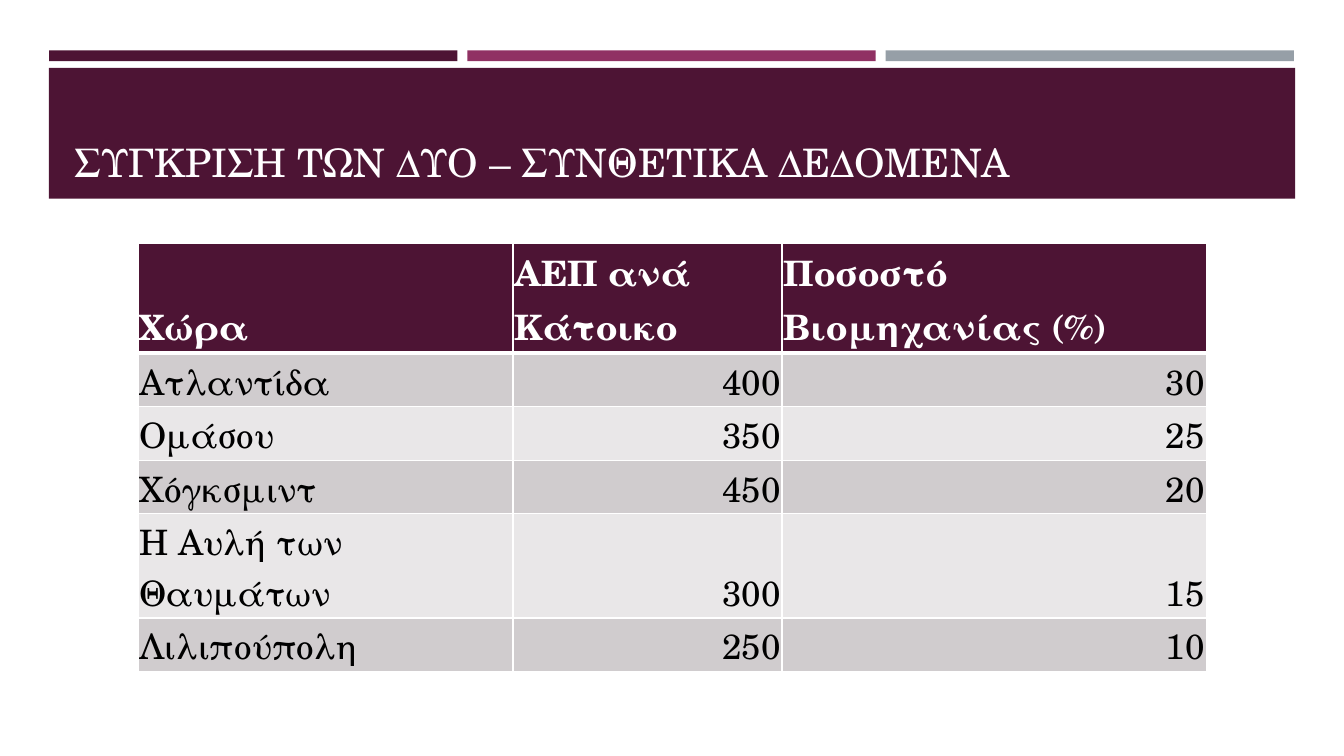
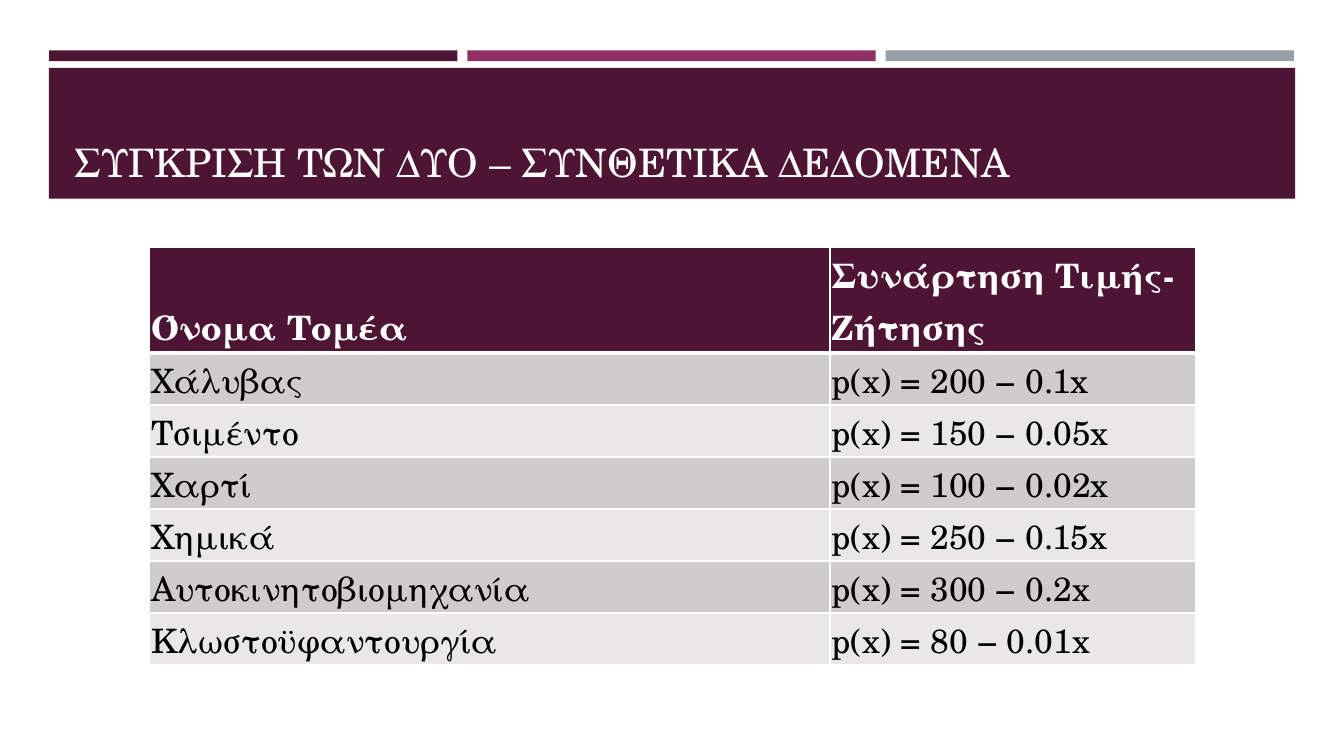
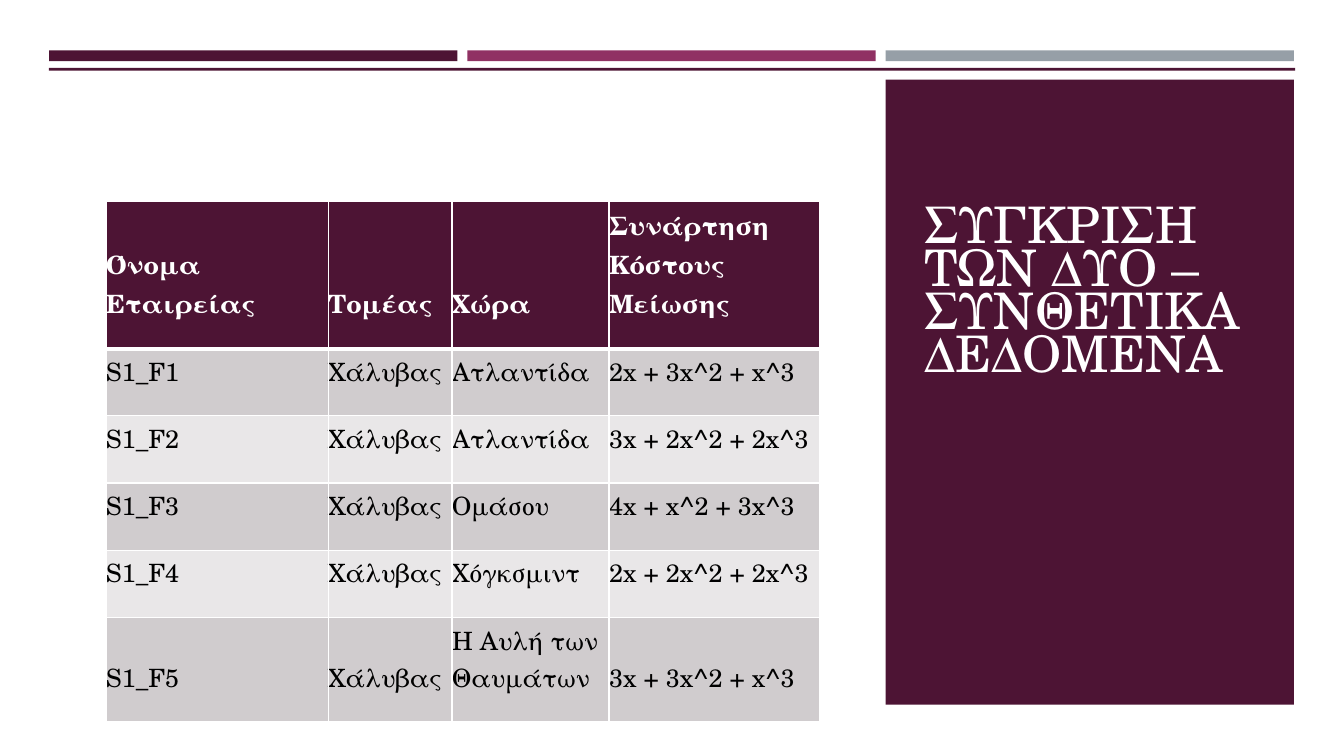
from lxml import etree
from pptx import Presentation
from pptx.dml.color import RGBColor
from pptx.enum.shapes import MSO_SHAPE
from pptx.enum.text import MSO_ANCHOR, MSO_AUTO_SIZE, PP_ALIGN
from pptx.oxml.ns import qn
from pptx.util import Cm, Pt

RECTANGLE = MSO_SHAPE.RECTANGLE
BOTTOM = MSO_ANCHOR.BOTTOM
NO_AUTOFIT = MSO_AUTO_SIZE.NONE
LEFT, RIGHT = PP_ALIGN.LEFT, PP_ALIGN.RIGHT

FONT = "TeX Gyre Schola"
PLUM = RGBColor(0x4D, 0x14, 0x34)
MAGENTA = RGBColor(0x90, 0x31, 0x63)
SLATE = RGBColor(0x96, 0x9F, 0xA7)
WHITE = RGBColor(0xFF, 0xFF, 0xFF)
BAND_WHITE = RGBColor(0xFF, 0xFE, 0xFF)
BLACK = RGBColor(0x00, 0x00, 0x00)
ROW_DARK = RGBColor(0xD0, 0xCC, 0xCE)
ROW_LIGHT = RGBColor(0xE9, 0xE7, 0xE8)

TITLE = "ΣΥΓΚΡΙΣΗ ΤΩΝ ΔΥΟ – ΣΥΝΘΕΤΙΚΑ ΔΕΔΟΜΕΝΑ"
TITLE_LINE_SPACING = 0.71

# All lengths are in centimetres; boxes are left, top, width, height.
BAR_LEFT, BAR_TOP, BAR_WIDTH, BAR_HEIGHT, BAR_PITCH = 1.24, 1.27, 10.29, 0.27, 10.54
TITLE_ON_TOP = {
    "panels": [(1.23, 1.71, 31.41, 3.3)],
    "title_box": (1.63, 1.96, 30.63, 2.82),
    "title_size": 28,
    "title_color": BAND_WHITE,
}
TITLE_AT_SIDE = {
    "panels": [
        (1.23, 1.71, 31.41, 0.07),
        (BAR_LEFT + 2 * BAR_PITCH, 2.01, BAR_WIDTH, 15.75),
    ],
    "title_box": (23.04, 3.94, 8.56, 5.79),
    "title_size": 36,
    "title_color": WHITE,
}
TIGHT_MARGINS = (0.04, 0.04, 0.04, 0)
DEEP_MARGINS = (0, 0.1, 0.22, 0.66)

SLIDES = [
    {
        "design": TITLE_ON_TOP,
        "position": (3.48, 6.14),
        "columns": [9.45, 6.78, 10.69],
        "row_heights": [2.41, 1.35, 1.35, 1.35, 1.27, 1.35],
        "margins": TIGHT_MARGINS,
        "size": 25,
        "rows": [
            ("Χώρα", "ΑΕΠ ανά Κάτοικο", "Ποσοστό Βιομηχανίας (%)"),
            ("Ατλαντίδα", "400", "30"),
            ("Ομάσου", "350", "25"),
            ("Χόγκσμιντ", "450", "20"),
            ("Η Αυλή των Θαυμάτων", "300", "15"),
            ("Λιλιπούπολη", "250", "10"),
        ],
    },
    {
        "design": TITLE_ON_TOP,
        "position": (3.77, 6.24),
        "columns": [17.15, 9.22],
        "row_heights": [2.34] + [1.31] * 6,
        "margins": TIGHT_MARGINS,
        "size": 24,
        "rows": [
            ("Όνομα Τομέα", "Συνάρτηση Τιμής-Ζήτησης"),
            ("Χάλυβας", "p(x) = 200 − 0.1x"),
            ("Τσιμέντο", "p(x) = 150 − 0.05x"),
            ("Χαρτί", "p(x) = 100 − 0.02x"),
            ("Χημικά", "p(x) = 250 − 0.15x"),
            ("Αυτοκινητοβιομηχανία", "p(x) = 300 − 0.2x"),
            ("Κλωστοϋφαντουργία", "p(x) = 80 − 0.01x"),
        ],
    },
    {
        "design": TITLE_AT_SIDE,
        "position": (2.67, 5.08),
        "columns": [5.6, 3.12, 3.96, 5.31],
        "row_heights": [2.46] + [1.22] * 4 + [1.83],
        "margins": DEEP_MARGINS,
        "size": 18,
        "rows": [
            ("Όνομα Εταιρείας", "Τομέας", "Χώρα", "Συνάρτηση Κόστους Μείωσης"),
            ("S1_F1", "Χάλυβας", "Ατλαντίδα", "2x + 3x^2 + x^3"),
            ("S1_F2", "Χάλυβας", "Ατλαντίδα", "3x + 2x^2 + 2x^3"),
            ("S1_F3", "Χάλυβας", "Ομάσου", "4x + x^2 + 3x^3"),
            ("S1_F4", "Χάλυβας", "Χόγκσμιντ", "2x + 2x^2 + 2x^3"),
            ("S1_F5", "Χάλυβας", "Η Αυλή των Θαυμάτων", "3x + 3x^2 + x^3"),
        ],
    },
]


def add_rectangle(slide, box, color):
    shape = slide.shapes.add_shape(RECTANGLE, *(Cm(length) for length in box))
    shape.shadow.inherit = False
    shape.fill.solid()
    shape.fill.fore_color.rgb = color
    shape.line.fill.background()


def write_text(paragraph, text, size, color, bold=False, alignment=LEFT):
    paragraph.alignment = alignment
    run = paragraph.add_run()
    run.text = text
    run.font.name = FONT
    run.font.size = Pt(size)
    run.font.bold = bold
    run.font.color.rgb = color


def add_frame(slide, design):
    """Draw the three bars, the plum panels and the title above them."""
    for index, color in enumerate((PLUM, MAGENTA, SLATE)):
        left = BAR_LEFT + index * BAR_PITCH
        add_rectangle(slide, (left, BAR_TOP, BAR_WIDTH, BAR_HEIGHT), color)
    for box in design["panels"]:
        add_rectangle(slide, box, PLUM)

    title = slide.shapes.title
    title.element.getparent().append(title.element)
    title.left, title.top, title.width, title.height = (
        Cm(length) for length in design["title_box"]
    )
    frame = title.text_frame
    frame.word_wrap = True
    frame.auto_size = NO_AUTOFIT
    frame.vertical_anchor = BOTTOM
    paragraph = frame.paragraphs[0]
    paragraph.line_spacing = TITLE_LINE_SPACING
    write_text(paragraph, TITLE, design["title_size"], design["title_color"])


def set_borders(cell, row_index):
    """Give a cell white borders, thicker between header and body."""
    widths = {
        "a:lnL": 1,
        "a:lnR": 1,
        "a:lnT": 3 if row_index == 1 else 1,
        "a:lnB": 3 if row_index == 0 else 1,
    }
    properties = cell._tc.get_or_add_tcPr()
    for index, (tag, width) in enumerate(widths.items()):
        line = etree.Element(qn(tag), w=str(Pt(width)))
        fill = etree.SubElement(line, qn("a:solidFill"))
        etree.SubElement(fill, qn("a:srgbClr"), val=str(WHITE))
        properties.insert(index, line)


def format_cell(cell, text, row_index, size, margins):
    is_header = row_index == 0
    cell.margin_left, cell.margin_top, cell.margin_right, cell.margin_bottom = (
        Cm(length) for length in margins
    )
    cell.vertical_anchor = BOTTOM
    cell.fill.solid()
    body_color = ROW_DARK if row_index % 2 else ROW_LIGHT
    cell.fill.fore_color.rgb = PLUM if is_header else body_color
    set_borders(cell, row_index)
    write_text(
        cell.text_frame.paragraphs[0],
        text,
        size,
        WHITE if is_header else BLACK,
        bold=is_header,
        alignment=RIGHT if text.isdigit() else LEFT,
    )


def add_data_table(slide, content):
    rows, columns, heights = content["rows"], content["columns"], content["row_heights"]
    left, top = content["position"]
    table = slide.shapes.add_table(
        len(rows), len(columns), Cm(left), Cm(top), Cm(sum(columns)), Cm(sum(heights))
    ).table
    for column, width in zip(table.columns, columns):
        column.width = Cm(width)
    for row_index, (values, height) in enumerate(zip(rows, heights)):
        table.rows[row_index].height = Cm(height)
        for column_index, text in enumerate(values):
            cell = table.cell(row_index, column_index)
            format_cell(cell, text, row_index, content["size"], content["margins"])


def main():
    presentation = Presentation()
    presentation.slide_width = Cm(33.87)
    presentation.slide_height = Cm(19.05)
    title_only = presentation.slide_layouts.get_by_name("Title Only")
    for content in SLIDES:
        slide = presentation.slides.add_slide(title_only)
        add_frame(slide, content["design"])
        add_data_table(slide, content)
    presentation.save("out.pptx")


if __name__ == "__main__":
    main()
